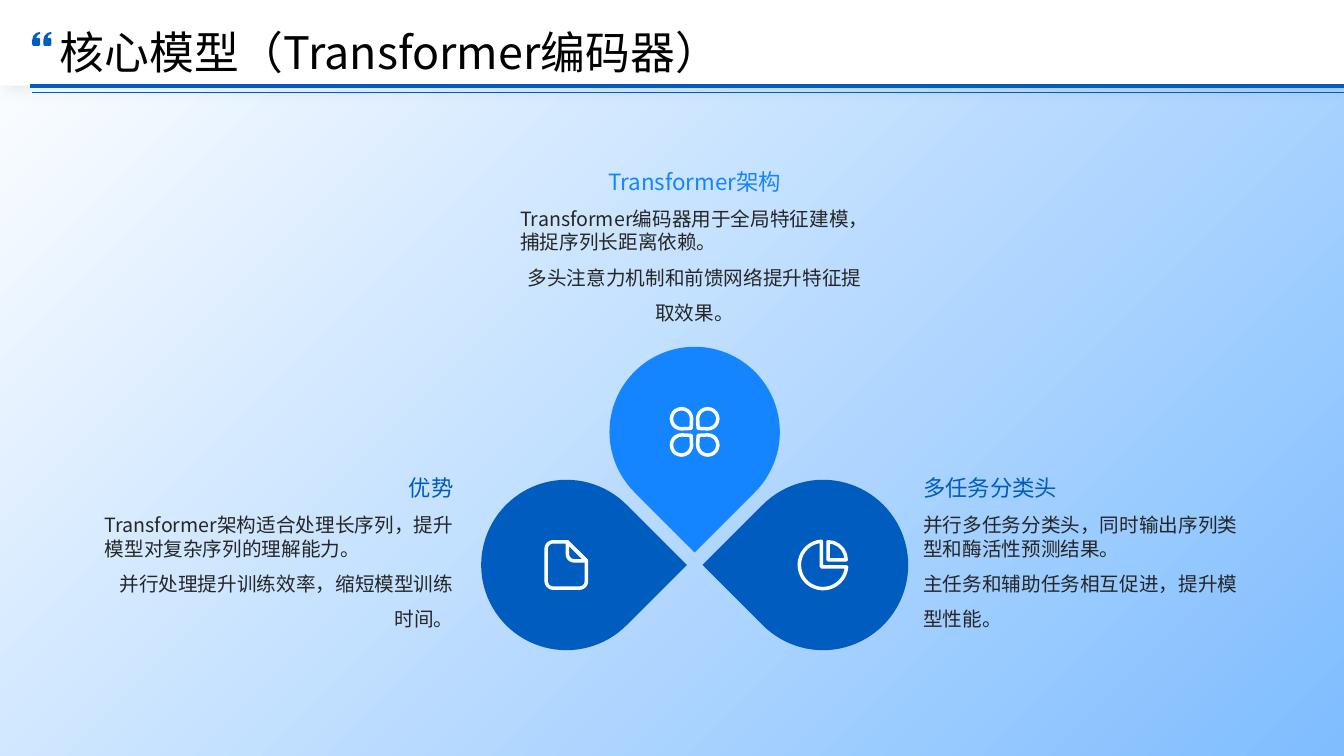
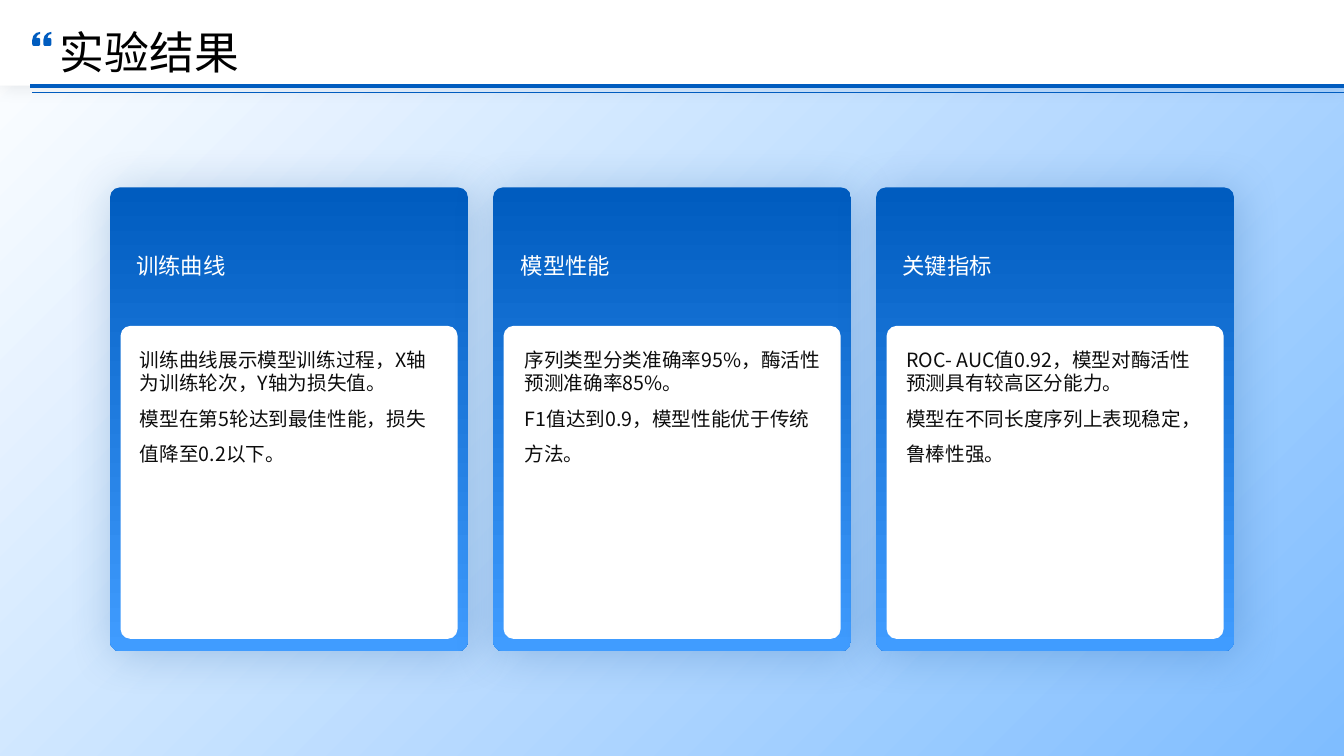
from math import ceil, cos, radians, sin

from lxml.etree import SubElement
from pptx import Presentation
from pptx.dml.color import RGBColor
from pptx.enum.shapes import MSO_CONNECTOR as Wire, MSO_SHAPE as Kind
from pptx.enum.text import MSO_ANCHOR as Anchor, PP_ALIGN as Align
from pptx.oxml.ns import qn
from pptx.util import Inches, Pt

COLS, ROWS = 160, 90
CELL = Inches(1) / 12
FACE = "Noto Sans CJK SC"
WHITE, BLACK, INK, DARK = "FFFFFF", "000000", "262626", "0D0D0D"
BLUE, AZURE, SKY, PALE, NAVY = "005CBF", "1585FF", "409CFF", "7FBDFF", "00458F"


def color(code):
    return RGBColor.from_string(code)


def cells(*counts):
    return [round(count * CELL) for count in counts]


def paint(shape, fill=None, line=None, width=1, angle=0):
    if fill is None:
        shape.fill.background()
    elif isinstance(fill, tuple):
        shape.fill.gradient()
        shape.fill.gradient_angle = 360 - angle
        for stop, code in zip(shape.fill.gradient_stops, fill):
            stop.color.rgb = color(code)
    else:
        shape.fill.solid()
        shape.fill.fore_color.rgb = color(fill)
    if line:
        shape.line.color.rgb = color(line)
        shape.line.width = Pt(width)
    else:
        shape.line.fill.background()
    shape.shadow.inherit = False
    return shape


def block(slide, kind, box, **look):
    return paint(slide.shapes.add_shape(kind, *cells(*box)), **look)


def shade(shape, code, alpha, blur, gap=0, angle=0):
    effects = shape._element.spPr.find(qn("a:effectLst"))
    outer = SubElement(effects, qn("a:outerShdw"), blurRad=str(Pt(blur)),
                       dist=str(Pt(gap)), dir=str(angle * 60000),
                       algn="ctr", rotWithShape="0")
    tint = SubElement(outer, qn("a:srgbClr"), val=code)
    SubElement(tint, qn("a:alpha"), val=str(alpha * 1000))


def write(slide, box, text, size, code, leads, aligns=(Align.LEFT,),
          anchor=Anchor.TOP):
    frame = slide.shapes.add_textbox(*cells(*box)).text_frame
    frame.word_wrap = True
    frame.vertical_anchor = anchor
    frame.margin_left = frame.margin_right = 0
    frame.margin_top = frame.margin_bottom = 0
    frame.text = text
    for para, lead, align in zip(frame.paragraphs, leads, aligns):
        para.line_spacing = lead
        para.alignment = align
        para._p.get_or_add_pPr().set("hangingPunct", "0")
        for run in para.runs:
            run.font.size = Pt(size)
            run.font.name = FACE
            run.font.color.rgb = color(code)
            SubElement(run._r.get_or_add_rPr(), qn("a:ea"), typeface=FACE)


def prose(slide, box, text, code, align=Align.LEFT):
    write(slide, box, text, 14, code, (1.0, 1.5), (Align.LEFT, align))


def rule(slide, x, y, width):
    line = slide.shapes.add_connector(Wire.STRAIGHT, *cells(x, y, COLS, y))
    line.line.color.rgb = color(BLUE)
    line.line.width = Pt(width)
    props = line._element.spPr
    props.find(qn("a:ln")).set("cap", "sq")
    SubElement(props, qn("a:effectLst"))


def arc(x, y, r, start, end, pace=18):
    steps = ceil(abs(end - start) / pace)
    turns = [radians(start + (end - start) * i / steps)
             for i in range(steps + 1)]
    return [(x + r * cos(t), y + r * sin(t)) for t in turns]


def trace(slide, x, y, size, loops, **look):
    pen = None
    for loop in loops:
        spots = [cells(x + px * size / 100, y + py * size / 100)
                 for px, py in loop]
        if pen is None:
            pen = slide.shapes.build_freeform(*spots[0], scale=1.0)
        else:
            pen.move_to(*spots[0])
        pen.add_line_segments(spots[1:], close=True)
    return paint(pen.convert_to_shape(), **look)


def sketch(slide, x, y, size, loops):
    trace(slide, x, y, size, loops, line=WHITE, width=2.5)


def quote(slide, x, y, size):
    mark = (arc(57, 57, 57, 270, 180, 30) + arc(14, 86, 14, 180, 90, 30)
            + arc(43, 86, 14, 90, 0, 30) + arc(43, 57, 14, 0, -90, 30)
            + arc(57, 43, 28, 180, 270, 30))
    pair = [[(px + shift, py) for px, py in mark] for shift in (0, 79)]
    trace(slide, x, y, size, pair, fill=BLUE)


def clover(slide, x, y, size):
    loops = []
    for px, py, start in ((-1, -1, 90), (1, -1, 180), (1, 1, 270), (-1, 1, 0)):
        tip = (50 + 7 * px, 50 + 7 * py)
        loops.append([tip] + arc(50 + 26 * px, 50 + 26 * py, 20,
                                 start, start + 270))
    sketch(slide, x, y, size, loops)


def sheet(slide, x, y, size):
    edge = ([(52, 4)] + arc(24, 18, 14, 270, 180) + arc(24, 82, 14, 180, 90)
            + arc(76, 82, 14, 90, 0) + [(90, 42)])
    fold = [(52, 4)] + arc(66, 28, 14, 180, 90) + [(90, 42)]
    sketch(slide, x, y, size, (edge, fold))


def pie(slide, x, y, size):
    rest = [(47, 54)] + arc(50, 50, 47, 5, 266, 10)
    wedge = [(60, 40)] + arc(60, 40, 36, 270, 360)
    sketch(slide, x, y, size, (rest, wedge))


def page(deck, title):
    slide = deck.slides.add_slide(deck.slide_layouts[6])
    block(slide, Kind.RECTANGLE, (0, 0, COLS, ROWS),
          fill=(WHITE, PALE), angle=45)
    band = block(slide, Kind.RECTANGLE, (0, 0, COLS, 10.2), fill=WHITE)
    shade(band, BLACK, 10, 13)
    write(slide, (7.1, 3, 146, 5.6), title, 32, BLACK, (1.1,),
          anchor=Anchor.MIDDLE)
    quote(slide, 3.84, 3.8, 1.68)
    rule(slide, 3.84, 10.2, 3)
    rule(slide, 3.84, 11.04, 0.75)
    return slide


def drop(slide, x, y, turn, code, icon):
    size, inner = 20.28, 6
    tear = block(slide, Kind.TEAR, (x - size / 2, y - size / 2, size, size),
                 fill=code)
    tear.rotation = turn
    icon(slide, x - inner / 2, y - inner / 2, inner)


def note(slide, x, y, width, code, align, head, body):
    write(slide, (x, y, width, 7.56), head, 16, code, (1.3,), (align,),
          Anchor.BOTTOM)
    prose(slide, (x, y + 9, width, 15.72), body, INK, align)


def flower(slide, x, y, notes):
    reach, rise = 15.28, 15.84
    drop(slide, x, y - rise, 135, AZURE, clover)
    drop(slide, x + reach, y, 225, BLUE, pie)
    drop(slide, x - reach, y, 45, BLUE, sheet)
    spots = ((-20.76, -51.66, 41.52, AZURE, Align.CENTER),
             (-70.22, -15.18, 41.52, BLUE, Align.RIGHT),
             (27.22, -15.18, 37.56, BLUE, Align.LEFT))
    for (dx, dy, width, code, align), words in zip(spots, notes):
        note(slide, x + dx, y + dy, width, code, align, *words)


def card(slide, x, y, w, h, shift, head, body):
    base = block(slide, Kind.ROUNDED_RECTANGLE, (x, y, w, h),
                 fill=(BLUE, SKY), angle=90)
    base.adjustments[0] = 0.027
    shade(base, NAVY, 24, 33, 3, 45)
    panel = block(slide, Kind.ROUNDED_RECTANGLE,
                  (x + 1.34, y + 0.3 * h, w - 2.64, 0.672 * h),
                  fill=WHITE, line=WHITE)
    panel.adjustments[0] = 0.03
    left = x + shift
    write(slide, (left, y + 3.12, w - 6.2, 11.4), head, 16, WHITE, (1.3,),
          anchor=Anchor.MIDDLE)
    prose(slide, (left + 0.46, y + 19.08, w - 6.6, 32.52), body, DARK)


def shelf(slide, x, y, w, h, cards, gap=3):
    wide = (w - gap * (len(cards) - 1)) / len(cards)
    for i, words in enumerate(cards):
        card(slide, x + i * (wide + gap), y, wide, h, *words)


NOTES = (
    ("Transformer架构",
     "Transformer编码器用于全局特征建模，捕捉序列长距离依赖。\n"
     "多头注意力机制和前馈网络提升特征提取效果。"),
    ("优势",
     "Transformer架构适合处理长序列，提升模型对复杂序列的理解能力。\n"
     "并行处理提升训练效率，缩短模型训练时间。"),
    ("多任务分类头",
     "并行多任务分类头，同时输出序列类型和酶活性预测结果。\n"
     "主任务和辅助任务相互促进，提升模型性能。"),
)
CARDS = (
    (3.1, "训练曲线",
     "训练曲线展示模型训练过程，X轴为训练轮次，Y轴为损失值。\n"
     "模型在第5轮达到最佳性能，损失值降至0.2以下。"),
    (3.3, "模型性能",
     "序列类型分类准确率95%，酶活性预测准确率85%。\n"
     "F1值达到0.9，模型性能优于传统方法。"),
    (3.14, "关键指标",
     "ROC- AUC值0.92，模型对酶活性预测具有较高区分能力。\n"
     "模型在不同长度序列上表现稳定，鲁棒性强。"),
)


def main():
    deck = Presentation()
    deck.slide_width, deck.slide_height = cells(COLS, ROWS)
    flower(page(deck, "核心模型（Transformer编码器）"), 82.7, 67.26, NOTES)
    shelf(page(deck, "实验结果"), 13.1, 22.32, 133.8, 55.2, CARDS)
    deck.save("out.pptx")


if __name__ == "__main__":
    main()
